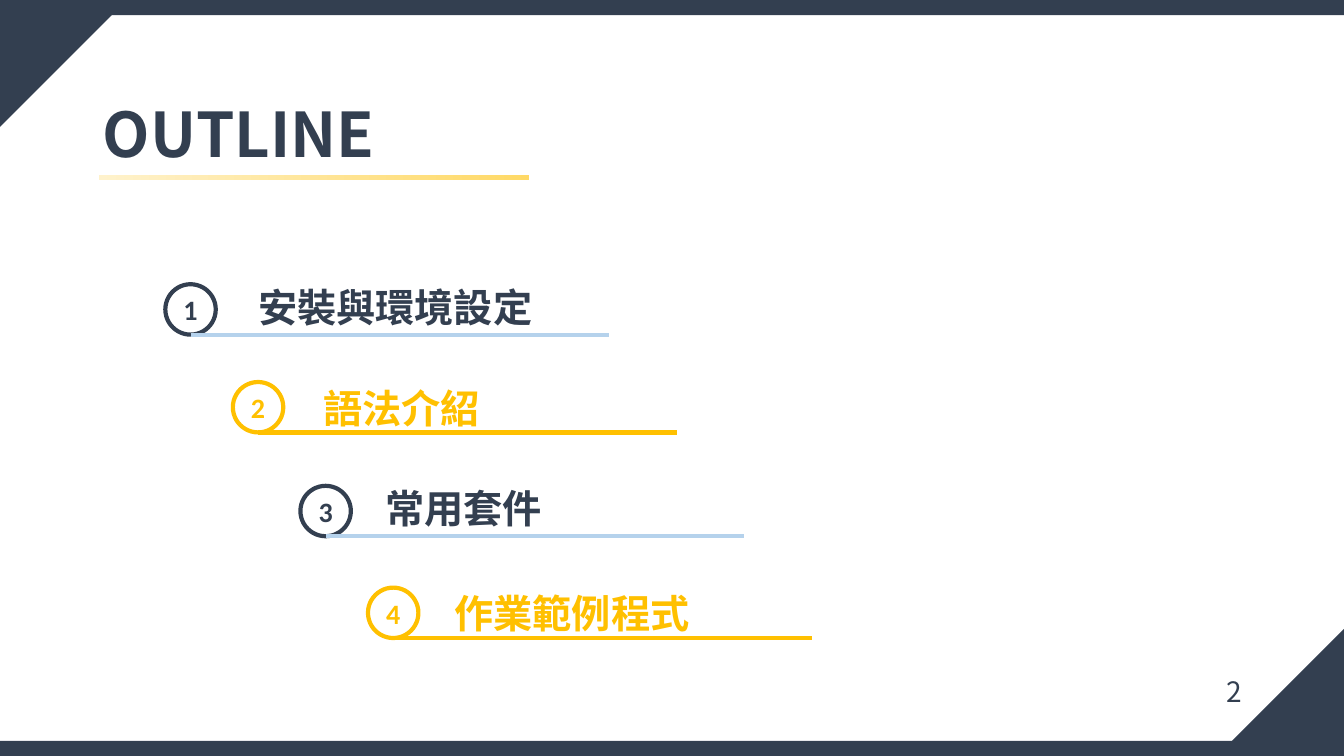
from lxml.etree import SubElement
from pptx import Presentation
from pptx.dml.color import RGBColor
from pptx.enum.shapes import MSO_CONNECTOR as Connector, MSO_SHAPE as Shape
from pptx.enum.text import MSO_ANCHOR as Anchor, MSO_AUTO_SIZE as AutoSize, PP_ALIGN as Align
from pptx.oxml.ns import qn
from pptx.util import Inches, Pt

NAVY = RGBColor(0x33, 0x3F, 0x50)
GOLD = RGBColor(0xFF, 0xC0, 0x00)
SKY = RGBColor(0xB5, 0xD2, 0xEC)
CREAM = RGBColor(0xFF, 0xF2, 0xCC)
HONEY = RGBColor(0xFF, 0xD9, 0x66)
WHITE = RGBColor(0xFF, 0xFF, 0xFF)
CJK_FONT, DIGIT_FONT = "Noto Sans CJK SC", "Calibri"

# Content: topic, circle top, topic left, topic top, topic width, alignment
TITLE = "OUTLINE"
PAGE = "2"
TOPICS = [
    ("安裝與環境設定", 2.82, 2.38, 2.76, 3.08, Align.CENTER),
    ("語法介紹", 3.79, 2.80, 3.76, 2.37, Align.CENTER),
    ("常用套件", 4.82, 3.72, 4.76, 3.08, Align.LEFT),
    ("作業範例程式", 5.83, 4.41, 5.80, 2.64, Align.LEFT),
]
THEMES = [(NAVY, SKY), (GOLD, GOLD)]  # circle and text, underline

# Layout in inches
WIDTH, HEIGHT = 13.33, 7.5
BAR, BAR_WIDTH, CORNER = 0.15, 12.66, 1.26
FIRST_LEFT, INDENT, CIRCLE, RULE = 1.64, 0.67, 0.5, 4.15

prs = Presentation()
prs.slide_width, prs.slide_height = Inches(WIDTH), Inches(HEIGHT)
slide = prs.slides.add_slide(prs.slide_layouts[5])
shapes = slide.shapes


def box(*lengths):
    return [Inches(length) for length in lengths]


def write(holder, text, size, color, font=CJK_FONT, bold=True,
          align=Align.LEFT, anchor=Anchor.MIDDLE, spacing=None):
    frame = holder.text_frame
    frame.word_wrap = True
    frame.auto_size = AutoSize.NONE
    frame.vertical_anchor = anchor
    paragraph = frame.paragraphs[0]
    paragraph.alignment, paragraph.line_spacing = align, spacing
    run = paragraph.add_run()
    run.text = text
    run.font.size, run.font.bold, run.font.name = Pt(size), bold, font
    run.font.color.rgb = color
    SubElement(run.font._element, qn("a:ea")).set("typeface", font)


def add_solid(kind, at, fill, rotation=0):
    solid = shapes.add_shape(kind, *box(*at))
    solid.shadow.inherit = False
    solid.fill.solid()
    solid.fill.fore_color.rgb = fill
    solid.line.fill.background()
    solid.rotation = rotation
    return solid


# Frame: bars and corner triangles
for left, top in [(WIDTH - BAR_WIDTH, 0), (0, HEIGHT - BAR)]:
    add_solid(Shape.RECTANGLE, (left, top, BAR_WIDTH, BAR), NAVY)
for left, top, rotation in [(0, 0, 90), (WIDTH - CORNER, HEIGHT - CORNER, 270)]:
    add_solid(Shape.RIGHT_TRIANGLE, (left, top, CORNER, CORNER), NAVY, rotation)

# Title with its gradient underline
title = shapes.title
title.left, title.top, title.width, title.height = box(0.92, 0.64, 11.5, 1.45)
write(title, TITLE, 44, NAVY, spacing=0.9)
underline = add_solid(Shape.RECTANGLE, (0.98, 1.74, 4.27, 0.05), HONEY)
underline.fill.gradient()
underline.fill.gradient_angle = 0
for stop, color in zip(underline.fill.gradient_stops, (CREAM, HONEY)):
    stop.color.rgb = color

# Topics stepping down to the right
for index, (topic, circle_top, left, top, width, align) in enumerate(TOPICS):
    color, rule_color = THEMES[index % 2]
    circle_left = FIRST_LEFT + index * INDENT
    circle = add_solid(Shape.OVAL, (circle_left, circle_top, CIRCLE, CIRCLE), WHITE)
    circle.line.color.rgb, circle.line.width = color, Pt(3)
    write(circle, str(index + 1), 20, color, font=DIGIT_FONT, align=Align.CENTER)
    label = circle.text_frame
    label.margin_left = label.margin_right = label.margin_top = label.margin_bottom = 0

    start, base = circle_left + CIRCLE / 2, circle_top + CIRCLE
    rule = shapes.add_connector(Connector.STRAIGHT, *box(start, base, start + RULE, base))
    rule.line.color.rgb, rule.line.width = rule_color, Pt(3)
    SubElement(rule._element.spPr, qn("a:effectLst"))

    write(shapes.add_textbox(*box(left, top, width, 0.57)), topic, 28, color,
          align=align, anchor=Anchor.TOP)

# Page number
write(shapes.add_textbox(*box(9.42, 6.66, 3, 0.4)), PAGE, 20, NAVY,
      bold=False, align=Align.RIGHT)

prs.save("out.pptx")
